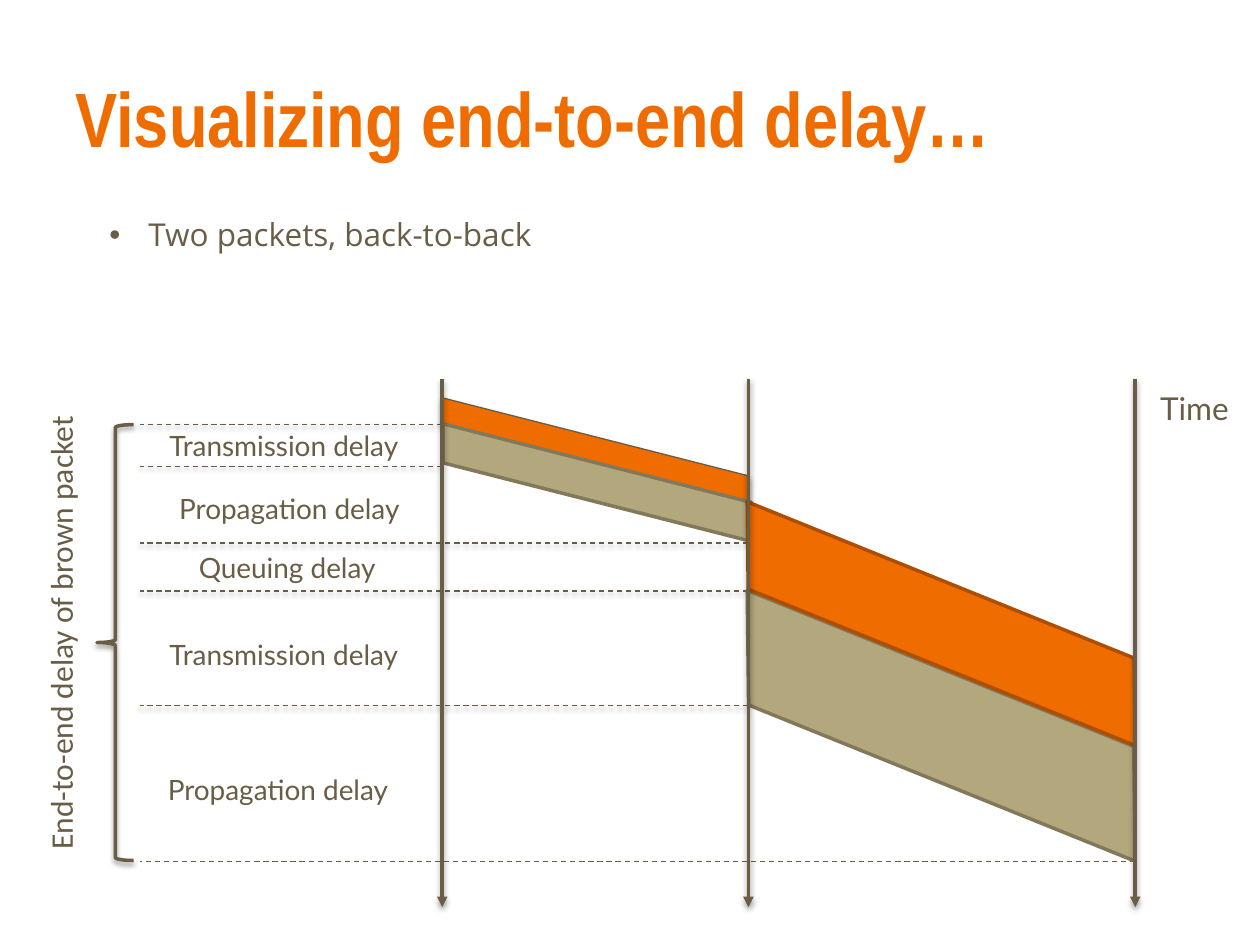
from dataclasses import dataclass
from typing import Optional

from lxml import etree
from pptx import Presentation
from pptx.dml.color import RGBColor
from pptx.enum.dml import MSO_LINE
from pptx.enum.shapes import MSO_CONNECTOR, MSO_SHAPE
from pptx.enum.text import MSO_ANCHOR, PP_ALIGN
from pptx.oxml.ns import qn
from pptx.util import Inches, Pt

DASH = MSO_LINE.DASH
STRAIGHT = MSO_CONNECTOR.STRAIGHT
PARALLELOGRAM, LEFT_BRACE = MSO_SHAPE.PARALLELOGRAM, MSO_SHAPE.LEFT_BRACE
TOP, MIDDLE = MSO_ANCHOR.TOP, MSO_ANCHOR.MIDDLE
LEFT, RIGHT = PP_ALIGN.LEFT, PP_ALIGN.RIGHT

COLORS = {
    "ink": "695D46",
    "orange": "EF6C00",
    "dark orange": "AE4E00",
    "brown": "B3A77D",
    "dark brown": "82795B",
    "shadow": "000000",
}
SENDER, ROUTER, RECEIVER = 3.51, 5.94, 9.01
AXIS_TOP, AXIS_BOTTOM = 3.01, 7.2
GUIDE_LEFT = 1.11


@dataclass
class Label:
    text: str
    left: float
    top: float
    width: float
    height: float = 0.37
    size: int = 16
    font: str = "Lato"
    color: str = "ink"
    bold: bool = False
    align: PP_ALIGN = RIGHT
    anchor: MSO_ANCHOR = TOP
    rotation: float = 0
    bullet: Optional[str] = None


@dataclass
class Band:
    left: float
    top: float
    width: float
    height: float
    rotation: float
    skew: float
    fill: str
    line: str
    line_width: float = 2
    shadow_alpha: int = 0


@dataclass
class Guide:
    right: float
    y: float


LABELS = [
    Label("Visualizing end-to-end delay…", 0.5, 0.3, 9, 1.25, 44, "Arial Narrow",
          "orange", True, LEFT, MIDDLE),
    Label("Two packets, back-to-back", 0.77, 1.66, 8.31, 0.4, 18, "Open Sans",
          align=LEFT, bullet="•"),
    Label("Transmission delay", 0.87, 3.35, 2.39),
    Label("Propagation delay", 1.24, 3.85, 2.03),
    Label("Queuing delay", 0.93, 4.32, 2.15),
    Label("Transmission delay", 1.11, 5.01, 2.15),
    Label("Propagation delay", 1.15, 6.08, 2.03),
    Label("End-to-end delay of brown packet", -1.37, 4.79, 3.7, 0.4, 18, "Calibri",
          align=LEFT, rotation=270),
    Label("Time", 9.05, 3.04, 0.8, 0.4, 18),
]
BANDS = [
    Band(3.44, 3.47, 2.57, 0.2, 194.3, 0.25, "orange", "ink", 0.75, 35),
    Band(3.44, 3.68, 2.6, 0.3, 194.3, 0.25, "brown", "dark brown"),
    Band(5.64, 5.34, 3.66, 0.84, 202, 0.418, "brown", "dark brown"),
    Band(5.68, 4.63, 3.58, 0.64, 202, 0.418, "orange", "dark orange"),
]
GUIDES = [
    Guide(SENDER, 3.37),
    Guide(SENDER, 3.7),
    Guide(ROUTER, 4.31),
    Guide(ROUTER, 4.69),
    Guide(ROUTER, 5.6),
    Guide(RECEIVER, 6.84),
]


def color(name: str) -> RGBColor:
    return RGBColor.from_string(COLORS[name])


def set_attributes(target, values: dict) -> None:
    for name, value in values.items():
        setattr(target, name, value)


def add_child(parent, tag: str, **attributes: str):
    return etree.SubElement(parent, qn(tag), attributes)


def style_line(shape, name: str, width: float) -> None:
    shape.line.color.rgb = color(name)
    shape.line.width = Pt(width)


def add_shadow(shape, alpha: int = 38, distance: float = 1.6) -> None:
    properties = shape.element.spPr
    effects = properties.find(qn("a:effectLst"))
    if effects is None:
        effects = add_child(properties, "a:effectLst")
    shadow = add_child(effects, "a:outerShdw", blurRad=str(Pt(3.1)),
                       dist=str(Pt(distance)), dir="5400000", rotWithShape="0")
    shade = add_child(shadow, "a:srgbClr", val=COLORS["shadow"])
    add_child(shade, "a:alpha", val=str(alpha * 1000))


def add_bullet(paragraph, character: str) -> None:
    properties = paragraph._p.get_or_add_pPr()
    properties.set("marL", str(Inches(0.31)))
    properties.set("indent", str(Inches(-0.31)))
    bullet_color = add_child(properties, "a:buClr")
    add_child(bullet_color, "a:srgbClr", val=COLORS["ink"])
    add_child(properties, "a:buFont", typeface="Arial")
    add_child(properties, "a:buChar", char=character)


def add_label(slide, label: Label) -> None:
    shape = slide.shapes.add_textbox(Inches(label.left), Inches(label.top),
                                     Inches(label.width), Inches(label.height))
    shape.rotation = label.rotation
    set_attributes(shape.text_frame, {"word_wrap": True, "vertical_anchor": label.anchor})
    paragraph = shape.text_frame.paragraphs[0]
    paragraph.alignment = label.align
    if label.bullet:
        add_bullet(paragraph, label.bullet)
    run = paragraph.add_run()
    run.text = label.text
    set_attributes(run.font, {"name": label.font, "size": Pt(label.size), "bold": label.bold})
    run.font.color.rgb = color(label.color)


def add_band(slide, band: Band) -> None:
    shape = slide.shapes.add_shape(PARALLELOGRAM, Inches(band.left), Inches(band.top),
                                   Inches(band.width), Inches(band.height))
    shape.adjustments[0] = band.skew
    shape.rotation = band.rotation
    shape.element.spPr.find(qn("a:xfrm")).set("flipH", "1")
    shape.fill.solid()
    shape.fill.fore_color.rgb = color(band.fill)
    style_line(shape, band.line, band.line_width)
    shape.shadow.inherit = False
    if band.shadow_alpha:
        add_shadow(shape, band.shadow_alpha, 1.8)


def add_line(slide, start: tuple[float, float], end: tuple[float, float], width: float):
    connector = slide.shapes.add_connector(STRAIGHT, *map(Inches, start + end))
    style_line(connector, "ink", width)
    add_shadow(connector)
    return connector


def add_guide(slide, guide: Guide) -> None:
    connector = add_line(slide, (guide.right, guide.y), (GUIDE_LEFT, guide.y), 0.75)
    connector.line.dash_style = DASH


def add_time_axis(slide, x: float) -> None:
    connector = add_line(slide, (x, AXIS_TOP), (x, AXIS_BOTTOM), 2)
    add_child(connector.element.spPr.find(qn("a:ln")), "a:tailEnd", type="triangle")


def add_brace(slide) -> None:
    shape = slide.shapes.add_shape(LEFT_BRACE, Inches(0.77), Inches(3.37),
                                   Inches(0.29), Inches(3.46))
    shape.adjustments[0] = 0.083
    shape.fill.background()
    style_line(shape, "ink", 2)
    shape.shadow.inherit = False
    add_shadow(shape)


def main() -> None:
    presentation = Presentation()
    set_attributes(presentation, {"slide_width": Inches(10), "slide_height": Inches(7.5)})
    slide = presentation.slides.add_slide(presentation.slide_layouts[6])
    for guide in GUIDES:
        add_guide(slide, guide)
    for band in BANDS:
        add_band(slide, band)
    for x in (SENDER, ROUTER, RECEIVER):
        add_time_axis(slide, x)
    add_brace(slide)
    for label in LABELS:
        add_label(slide, label)
    presentation.save("out.pptx")


if __name__ == "__main__":
    main()
